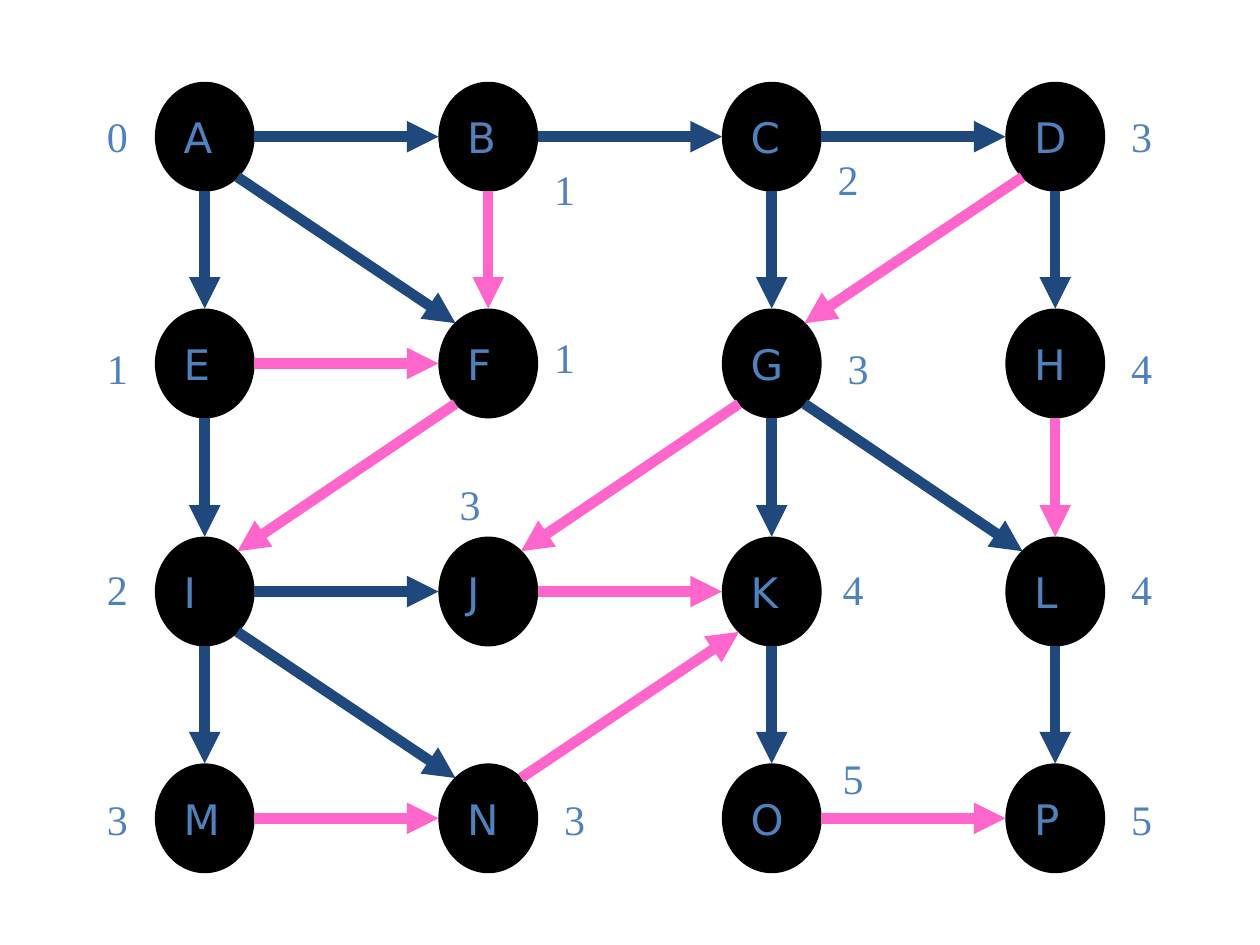
from pptx import Presentation
from pptx.dml.color import RGBColor
from pptx.enum.shapes import MSO_CONNECTOR, MSO_SHAPE
from pptx.enum.text import MSO_ANCHOR, MSO_AUTO_SIZE, PP_ALIGN
from pptx.oxml.ns import qn
from pptx.util import Inches, Pt
from lxml.etree import SubElement

BLACK = RGBColor(0x00, 0x00, 0x00)
WHITE = RGBColor(0xFF, 0xFF, 0xFF)
TEXT_BLUE = RGBColor(0x4F, 0x81, 0xBD)
TREE_BLUE = RGBColor(0x1F, 0x49, 0x7D)
CROSS_PINK = RGBColor(0xFF, 0x66, 0xCC)

NODE_W, NODE_H = 0.75, 0.83
COLUMNS = (1.25, 3.5, 5.75, 8)
ROWS = (0.67, 2.47, 4.28, 6.08)
NODE_ROWS = ("ABCD", "EFGH", "IJKL", "MNOP")
GAP = 0.02                          # between a node and a straight edge
DIAGONAL_X, DIAGONAL_Y = 0.26, 0.32  # from a node's centre to a slanted edge

TREE_EDGES = "AB BC CD AE AF CG DH EI GK GL IJ IM IN KO LP"
CROSS_EDGES = "BF EF DG FI GJ HL JK NK MN OP"

LABEL_W, LABEL_H = 0.36, 0.5
LEVELS = (
    ("0", 0.75, 0.83), ("1", 0.75, 2.67), ("1", 4.3, 2.58), ("1", 4.3, 1.25),
    ("2", 0.75, 4.42), ("2", 6.55, 1.17), ("3", 0.75, 6.25), ("3", 4.38, 6.25),
    ("3", 3.55, 3.75), ("3", 6.63, 2.67), ("3", 8.88, 0.83), ("4", 6.59, 4.42),
    ("4", 8.88, 4.42), ("4", 8.88, 2.67), ("5", 6.59, 5.92), ("5", 8.88, 6.25),
)


def add_text_shape(slide, kind, box, fill, text, font_name, frame_format):
    s = slide.shapes.add_shape(kind, *map(Inches, box))
    s.shadow.inherit = False
    s.fill.solid()
    s.fill.fore_color.rgb = fill
    s.line.fill.background()
    tf = s.text_frame
    for name, value in {"word_wrap": False, **frame_format}.items():
        setattr(tf, name, value)
    p = tf.paragraphs[0]
    p.alignment = PP_ALIGN.LEFT
    r = p.add_run()
    r.text = text
    for name, value in {"name": font_name, "size": Pt(24)}.items():
        setattr(r.font, name, value)
    r.font.color.rgb = TEXT_BLUE
    return s


def add_node(slide, letter, left, top):
    s = add_text_shape(slide, MSO_SHAPE.OVAL, (left, top, NODE_W, NODE_H), BLACK,
                       letter, "DejaVu Sans",
                       {"vertical_anchor": MSO_ANCHOR.MIDDLE})
    s.line.color.rgb = BLACK
    s.line.width = Pt(3)


def add_level(slide, level, left, top):
    add_text_shape(slide, MSO_SHAPE.RECTANGLE, (left, top, LABEL_W, LABEL_H), WHITE,
                   level, "Times New Roman",
                   {"vertical_anchor": MSO_ANCHOR.TOP,
                    "auto_size": MSO_AUTO_SIZE.SHAPE_TO_FIT_TEXT})


def sign(value):
    return (value > 0) - (value < 0)


def edge_ends(start, end):
    """Return the start and end points of an edge between two node centres."""
    dx, dy = (sign(b - a) for a, b in zip(start, end))
    if dx and dy:
        reach_x, reach_y = dx * DIAGONAL_X, dy * DIAGONAL_Y
    else:
        reach_x, reach_y = dx * (NODE_W / 2 + GAP), dy * (NODE_H / 2 + GAP)
    return (start[0] + reach_x, start[1] + reach_y,
            end[0] - reach_x, end[1] - reach_y)


def add_edge(slide, start, end, color):
    c = slide.shapes.add_connector(MSO_CONNECTOR.STRAIGHT,
                                   *map(Inches, edge_ends(start, end)))
    c.line.color.rgb = color
    c.line.width = Pt(6)
    SubElement(c.line._get_or_add_ln(), qn("a:tailEnd"), type="triangle")
    SubElement(c._element.spPr, qn("a:effectLst"))


def main():
    prs = Presentation()
    prs.slide_width, prs.slide_height = Inches(10), Inches(7.5)
    slide = prs.slides.add_slide(prs.slide_layouts[6])

    centres = {}
    for top, letters in zip(ROWS, NODE_ROWS):
        for left, letter in zip(COLUMNS, letters):
            add_node(slide, letter, left, top)
            centres[letter] = (left + NODE_W / 2, top + NODE_H / 2)

    for edges, color in ((TREE_EDGES, TREE_BLUE), (CROSS_EDGES, CROSS_PINK)):
        for start, end in edges.split():
            add_edge(slide, centres[start], centres[end], color)

    for level, left, top in LEVELS:
        add_level(slide, level, left, top)

    prs.save("out.pptx")


if __name__ == "__main__":
    main()
